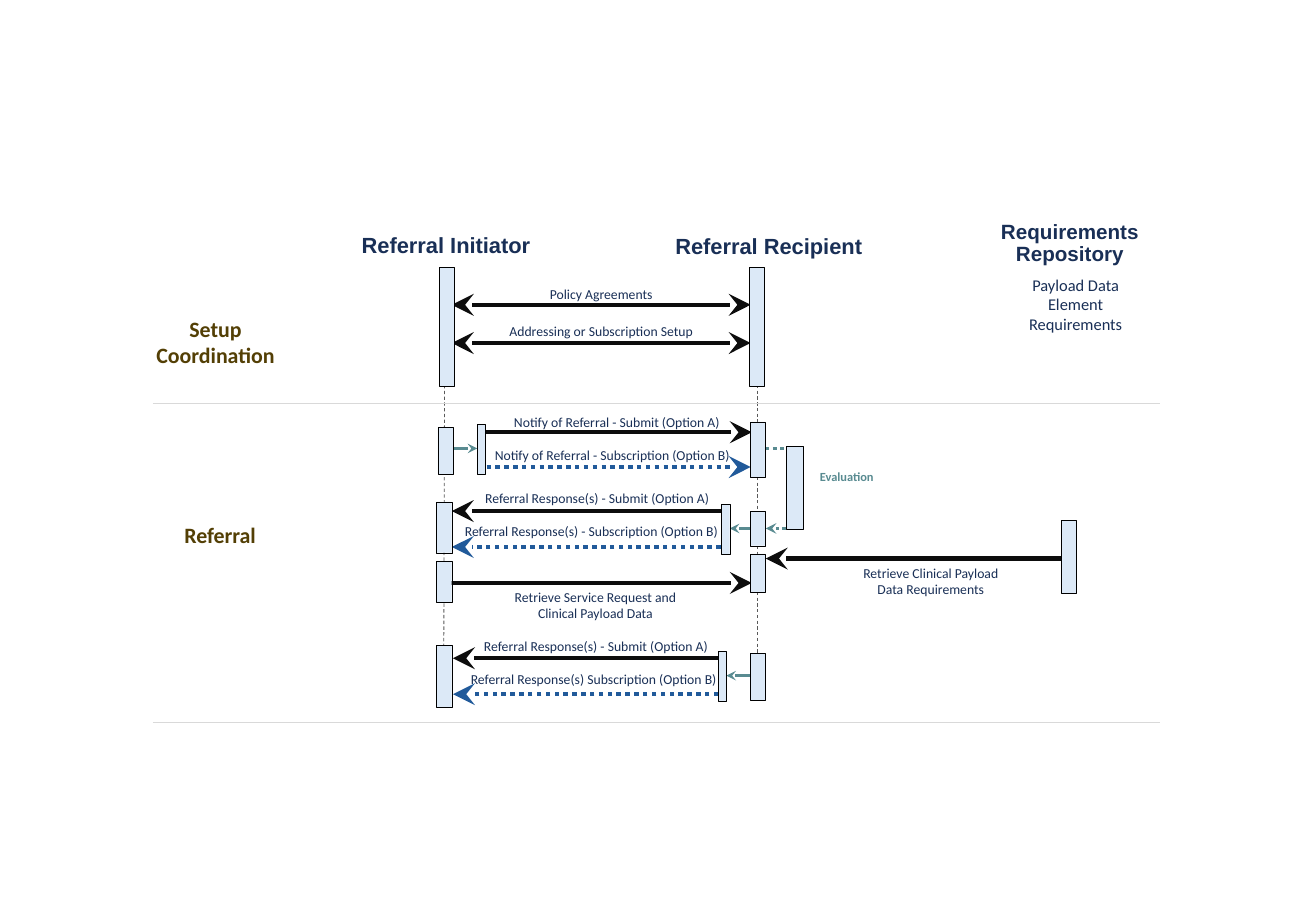
"""Draw the referral sequence diagram on one slide."""
from dataclasses import dataclass

from lxml.etree import SubElement
from pptx import Presentation
from pptx.dml.color import RGBColor
from pptx.enum.dml import MSO_LINE
from pptx.enum.shapes import MSO_CONNECTOR, MSO_SHAPE
from pptx.enum.text import PP_ALIGN
from pptx.oxml.ns import qn
from pptx.slide import Slide
from pptx.util import Inches, Pt


@dataclass(frozen=True)
class Stroke:
    """Colour, weight, dash and arrowhead size of a line."""
    color: str
    weight: float
    dash: MSO_LINE | None = None
    head: str = "med"


@dataclass(frozen=True)
class Lettering:
    """Font, size, colour and spacing of a text."""
    font: str
    size: float
    color: str
    bold: bool = False
    spacing: float | None = None
    inset: tuple[float, float] = (0, 0)


@dataclass(frozen=True)
class Theme:
    """Colours, strokes and type sizes of the slide."""
    bar_fill: str = "DCE9F7"
    bar_edge: Stroke = Stroke("000000", 0.25)
    submit: Stroke = Stroke("0D0D0D", 2.75, head="lg")
    subscription: Stroke = Stroke("215A9A", 2.75, MSO_LINE.ROUND_DOT, "lg")
    internal: Stroke = Stroke("598B91", 2)
    evaluation: Stroke = Stroke("598B91", 2.25, MSO_LINE.ROUND_DOT)
    lifeline: Stroke = Stroke("595959", 0.5, MSO_LINE.DASH)
    divider: Stroke = Stroke("D9D9D9", 0.5)
    actor: Lettering = Lettering("Arial", 13.6, "192F56", True)
    repository: Lettering = Lettering("Arial", 12.8, "192F56", True, 13.6)
    phase: Lettering = Lettering("Calibri", 13.6, "533F05", True)
    message: Lettering = Lettering("Calibri", 8.5, "192F56")
    payload: Lettering = Lettering("Calibri", 10.2, "192F56", inset=(0.1, 0.05))
    note: Lettering = Lettering("Calibri", 7.7, "598B91", True, 7.7, (0.1, 0.05))


@dataclass(frozen=True)
class Line:
    """A line between two points, with arrows at its start or end."""
    x1: float
    y1: float
    x2: float
    y2: float
    stroke: Stroke
    arrows: tuple[str, ...] = ()


@dataclass(frozen=True)
class Bar:
    """An activation bar on a lifeline."""
    left: float
    top: float
    height: float
    width: float = 0.13


@dataclass(frozen=True)
class Caption:
    """A centred text and its box."""
    text: str
    left: float
    top: float
    width: float
    height: float
    lettering: Lettering


THEME = Theme()


def message(start: float, end: float, y: float, stroke: Stroke,
            arrows: tuple[str, ...] = ("tailEnd",)) -> Line:
    """Return a level arrow from start to end."""
    return Line(start, y, end, y, stroke, arrows)


def label(text: str, left: float, top: float, width: float, height: float = 0.14) -> Caption:
    """Return the caption of a message."""
    return Caption(text, left, top, width, height, THEME.message)


BOTH = ("headEnd", "tailEnd")
LINES = [
    Line(6.54, 2.33, 6.54, 6.04, THEME.lifeline),
    Line(3.84, 2.38, 3.83, 5.96, THEME.lifeline),
    *(message(1.32, 10.01, y, THEME.divider, ()) for y in (3.48, 6.23)),
    *(message(3.9, 6.48, y, THEME.submit, BOTH) for y in (2.63, 2.96)),
    message(3.9, 4.12, 3.87, THEME.internal),
    message(4.19, 6.49, 3.73, THEME.submit),
    message(4.2, 6.48, 4.03, THEME.subscription),
    message(6.61, 6.91, 3.87, THEME.evaluation, ()),
    message(6.91, 6.61, 4.56, THEME.evaluation),
    message(6.5, 6.3, 4.56, THEME.internal),
    message(6.27, 3.9, 4.41, THEME.submit),
    message(6.22, 3.9, 4.72, THEME.subscription),
    message(9.18, 6.61, 4.82, THEME.submit),
    message(3.78, 6.49, 5.03, THEME.submit),
    message(6.48, 6.27, 5.83, THEME.internal),
    message(6.2, 3.91, 5.68, THEME.submit),
    message(6.2, 3.91, 5.99, THEME.subscription),
]
BARS = [
    *(Bar(left, 2.31, 1.02) for left in (3.79, 6.47)),
    Bar(3.78, 3.69, 0.4),
    *(Bar(3.77, top, height) for top, height in ((4.33, 0.44), (4.84, 0.36), (5.57, 0.53))),
    *(Bar(6.48, top, height)
      for top, height in ((3.64, 0.48), (4.41, 0.3), (4.78, 0.33), (5.64, 0.4))),
    *(Bar(left, top, 0.43, 0.07) for left, top in ((4.12, 3.66), (6.23, 4.35), (6.2, 5.62))),
    Bar(6.79, 3.85, 0.72, 0.14),
    Bar(9.16, 4.49, 0.63),
]
CAPTIONS = [
    Caption("Referral Initiator", 3.1, 2, 1.5, 0.23, THEME.actor),
    Caption("Referral Recipient", 5.79, 2.01, 1.69, 0.23, THEME.actor),
    Caption("Requirements Repository", 8.51, 1.91, 1.45, 0.39, THEME.repository),
    Caption("Payload Data Element Requirements", 8.77, 2.32, 1.03, 0.62, THEME.payload),
    Caption("Setup Coordination", 1.34, 2.72, 1.04, 0.46, THEME.phase),
    Caption("Referral", 1.44, 4.5, 0.92, 0.23, THEME.phase),
    Caption("Evaluation", 6.76, 4.02, 1.1, 0.21, THEME.note),
    label("Policy Agreements", 3.9, 2.47, 2.58),
    label("Addressing or Subscription Setup", 3.9, 2.79, 2.58),
    label("Notify of Referral - Submit (Option A)", 4.18, 3.57, 2.29),
    label("Notify of Referral - Subscription (Option B)", 4.2, 3.86, 2.17),
    label("Referral Response(s) - Submit (Option A)", 4.02, 4.23, 2.27),
    label("Referral Response(s) - Subscription (Option B)", 3.98, 4.51, 2.25),
    label("Retrieve Clinical Payload Data Requirements", 7.37, 4.87, 1.33, 0.29),
    label("Retrieve Service Request and Clinical Payload Data", 4.29, 5.08, 1.7, 0.29),
    label("Referral Response(s) - Submit (Option A)", 4.01, 5.5, 2.27),
    label("Referral Response(s) Subscription (Option B)", 4.04, 5.79, 2.17),
]


def draw_line(slide: Slide, line: Line) -> None:
    """Draw a line with its arrowheads."""
    connector = slide.shapes.add_connector(
        MSO_CONNECTOR.STRAIGHT, Inches(line.x1), Inches(line.y1), Inches(line.x2), Inches(line.y2))
    connector.line.color.rgb = RGBColor.from_string(line.stroke.color)
    connector.line.width = Pt(line.stroke.weight)
    if line.stroke.dash is not None:
        connector.line.dash_style = line.stroke.dash
    properties = connector.element.spPr
    outline = properties.find(qn("a:ln"))
    for end in line.arrows:
        SubElement(outline, qn(f"a:{end}"), type="stealth", w=line.stroke.head, len=line.stroke.head)
    SubElement(properties, qn("a:effectLst"))


def draw_bar(slide: Slide, bar: Bar) -> None:
    """Draw an activation bar."""
    activation = slide.shapes.add_shape(
        MSO_SHAPE.RECTANGLE, Inches(bar.left), Inches(bar.top), Inches(bar.width), Inches(bar.height))
    activation.shadow.inherit = False
    activation.fill.solid()
    activation.fill.fore_color.rgb = RGBColor.from_string(THEME.bar_fill)
    activation.line.color.rgb = RGBColor.from_string(THEME.bar_edge.color)
    activation.line.width = Pt(THEME.bar_edge.weight)


def draw_caption(slide: Slide, caption: Caption) -> None:
    """Draw a centred caption."""
    style = caption.lettering
    frame = slide.shapes.add_textbox(Inches(caption.left), Inches(caption.top),
                                     Inches(caption.width), Inches(caption.height)).text_frame
    frame.word_wrap = True
    frame.margin_left = frame.margin_right = Inches(style.inset[0])
    frame.margin_top = frame.margin_bottom = Inches(style.inset[1])
    paragraph = frame.paragraphs[0]
    paragraph.alignment = PP_ALIGN.CENTER
    if style.spacing is not None:
        paragraph.line_spacing = Pt(style.spacing)
    run = paragraph.add_run()
    run.text = caption.text
    run.font.name, run.font.size, run.font.bold = style.font, Pt(style.size), style.bold
    run.font.color.rgb = RGBColor.from_string(style.color)


def main() -> None:
    """Build and save the slide."""
    deck = Presentation()
    deck.slide_width, deck.slide_height = Inches(11.36), Inches(7.93)
    slide = deck.slides.add_slide(deck.slide_layouts[6])
    for line in LINES:
        draw_line(slide, line)
    for bar in BARS:
        draw_bar(slide, bar)
    for caption in CAPTIONS:
        draw_caption(slide, caption)
    deck.save("out.pptx")


if __name__ == "__main__":
    main()
